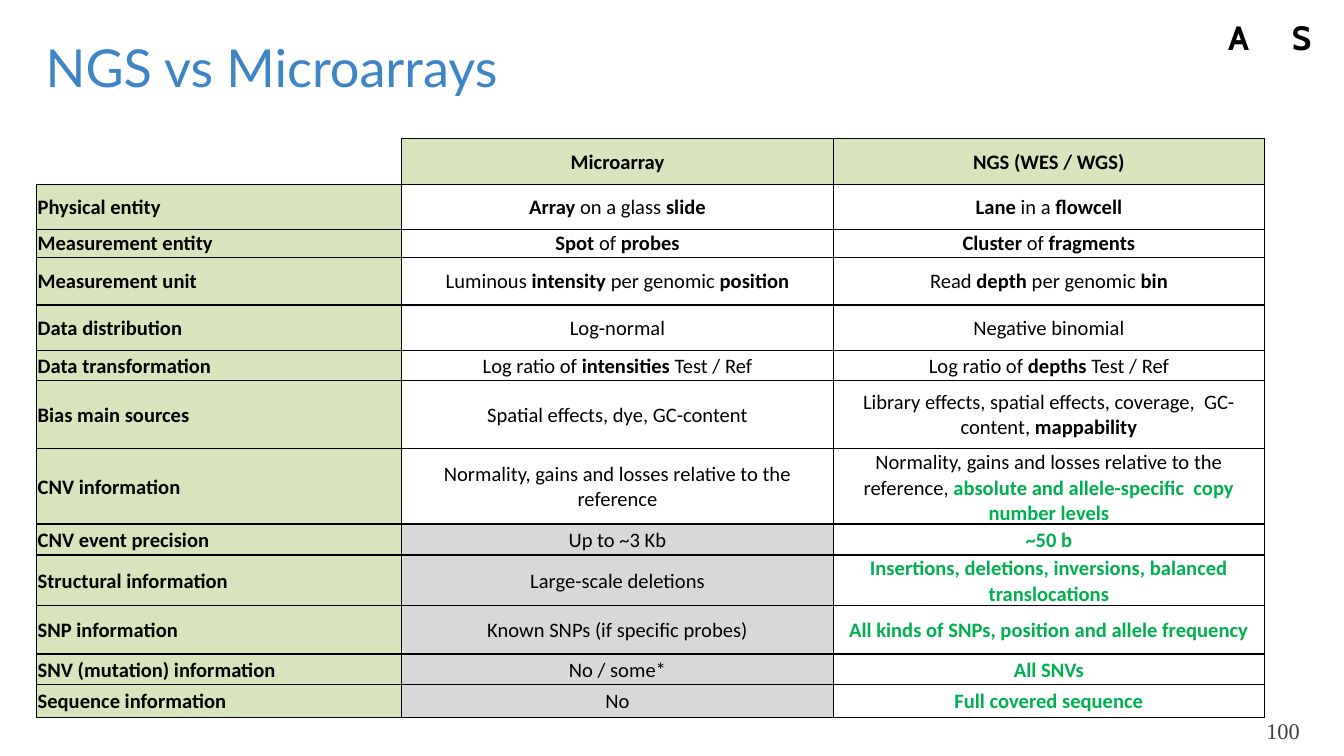
from lxml import etree
from pptx import Presentation
from pptx import util as u
from pptx.dml.color import RGBColor
from pptx.enum import text
from pptx.oxml.ns import qn

HUES = {
    "ink": "000000",
    "title": "3D85C6",
    "page": "3F3F3F",
    "head": "D7E4BC",
    "dim": "D8D8D8",
    "gain": "00B050",
}
LEFT, MID, RIGHT = text.PP_ALIGN.LEFT, text.PP_ALIGN.CENTER, text.PP_ALIGN.RIGHT
CORE, BASE, TOP = text.MSO_ANCHOR.MIDDLE, text.MSO_ANCHOR.BOTTOM, text.MSO_ANCHOR.TOP

HEADS = ["", "|Microarray|", "|NGS (WES / WGS)|"]
FACTS = [
    ["|Physical entity|", "|Array| on a glass |slide|", "|Lane| in a |flowcell|"],
    ["|Measurement entity|", "|Spot| of |probes|", "|Cluster| of |fragments|"],
    ["|Measurement unit|", "Luminous |intensity| per genomic |position|",
     "Read |depth| per genomic |bin|"],
    ["|Data distribution|", "Log-normal", "Negative binomial"],
    ["|Data transformation|", "Log ratio of |intensities| Test / Ref",
     "Log ratio of |depths| Test / Ref"],
    ["|Bias main sources|", "Spatial effects, dye, GC-content",
     "Library effects, spatial effects, coverage,  GC-content, |mappability|"],
    ["|CNV information|", "Normality, gains and losses relative to the reference",
     "Normality, gains and losses relative to the reference, "
     "|absolute and allele-specific  copy number levels|"],
    ["|CNV event precision|", "Up to ~3 Kb", "|~50 b|"],
    ["|Structural information|", "Large-scale deletions",
     "|Insertions, deletions, inversions, balanced translocations|"],
    ["|SNP information|", "Known SNPs (if specific probes)",
     "|All kinds of SNPs, position and allele frequency|"],
    ["|SNV (mutation) information|", "No / some*", "|All SNVs|"],
    ["|Sequence information|", "No", "|Full covered sequence|"],
]
WIDTHS = [27.2, 32.1, 32.1]
HEIGHTS = [3.45, 3.3, 2.1, 3.55, 3.4, 2.2, 5.1, 5.3, 2.3, 3.6, 3.6, 2.3, 2.4]
FIRST_GAIN, FIRST_DIM = 7, 8


def cells(n):
    return u.Inches(n / 10)


def write(frame, words, size=11, font="Calibri", hue="ink", strong="ink",
          align=LEFT, space=None):
    line = frame.paragraphs[0]
    line.alignment = align
    if space:
        line.line_spacing = space
    for n, part in enumerate(words.split("|")):
        if part:
            run = line.add_run()
            run.text = part
            run.font.size = u.Pt(size)
            run.font.name = font
            run.font.bold = n % 2 == 1
            run.font.color.rgb = RGBColor.from_string(HUES[strong if n % 2 else hue])


class Deck:
    def __init__(self, wide, high):
        self.show = Presentation()
        self.show.slide_width = cells(wide)
        self.show.slide_height = cells(high)
        self.slide = self.show.slides.add_slide(self.show.slide_layouts[5])

    def inset(self, frame, sides, anchor):
        frame.margin_left, frame.margin_top, frame.margin_right, frame.margin_bottom = map(
            cells, sides)
        frame.vertical_anchor = anchor

    def title(self, words, x, y, w, h):
        box = self.slide.shapes.title
        box.left, box.top, box.width, box.height = map(cells, (x, y, w, h))
        frame = box.text_frame
        frame.auto_size = text.MSO_AUTO_SIZE.NONE
        self.inset(frame, (1, 0.5, 0.5, 0.5), CORE)
        write(frame, words, size=28, font="Lato", hue="title")

    def label(self, words, x, y, w, h, anchor=TOP, foot=0.5, **style):
        frame = self.slide.shapes.add_textbox(*map(cells, (x, y, w, h))).text_frame
        frame.word_wrap = True
        self.inset(frame, (1, 0.5, 1, foot), anchor)
        write(frame, words, space=0.93, **style)

    def border(self, cell, drawn):
        props = cell._tc.get_or_add_tcPr()
        for side in "LRTB":
            line = etree.SubElement(props, qn("a:ln" + side), w=str(u.Pt(0.75)))
            if side in drawn:
                fill = etree.SubElement(line, qn("a:solidFill"))
                etree.SubElement(fill, qn("a:srgbClr"), val=HUES["ink"])
            else:
                etree.SubElement(line, qn("a:noFill"))

    def table(self, rows, x, y):
        table = self.slide.shapes.add_table(
            len(rows), len(WIDTHS), cells(x), cells(y),
            cells(sum(WIDTHS)), cells(sum(HEIGHTS))).table
        table.first_row = table.horz_banding = False
        for col, wide in zip(table.columns, WIDTHS):
            col.width = cells(wide)
        for row, high in zip(table.rows, HEIGHTS):
            row.height = cells(high)
        for r, row in enumerate(rows):
            for c, words in enumerate(row):
                cell = table.cell(r, c)
                blank = r == c == 0
                self.border(cell, "RB" if blank else "LRTB")
                self.inset(cell, (0.1, 0.1, 0.1, 0), CORE)
                tint = None
                if not blank and (r == 0 or c == 0):
                    tint = "head"
                elif c == 1 and r >= FIRST_DIM:
                    tint = "dim"
                if tint:
                    cell.fill.solid()
                    cell.fill.fore_color.rgb = RGBColor.from_string(HUES[tint])
                else:
                    cell.fill.background()
                write(cell.text_frame, words, align=MID if c else LEFT,
                      strong="gain" if c == 2 and r >= FIRST_GAIN else "ink")


def main():
    wide = 100
    deck = Deck(wide, wide * 9 / 16)
    deck.label("100", 89.7, 53.1, 8, 2.3, anchor=BASE, foot=0, size=12,
               font="Times New Roman", hue="page", align=RIGHT)
    deck.table([HEADS] + FACTS, 2.7, 10.3)
    for x, mark in ((94.9, "|S|"), (90.2, "|A|")):
        deck.label(mark, x, 1, 3.9, 2.9, size=18, font="Cabin", align=MID)
    deck.title("NGS vs Microarrays", 2.4, 1.3, 97.6, 7.3)
    deck.show.save("out.pptx")


if __name__ == "__main__":
    main()
